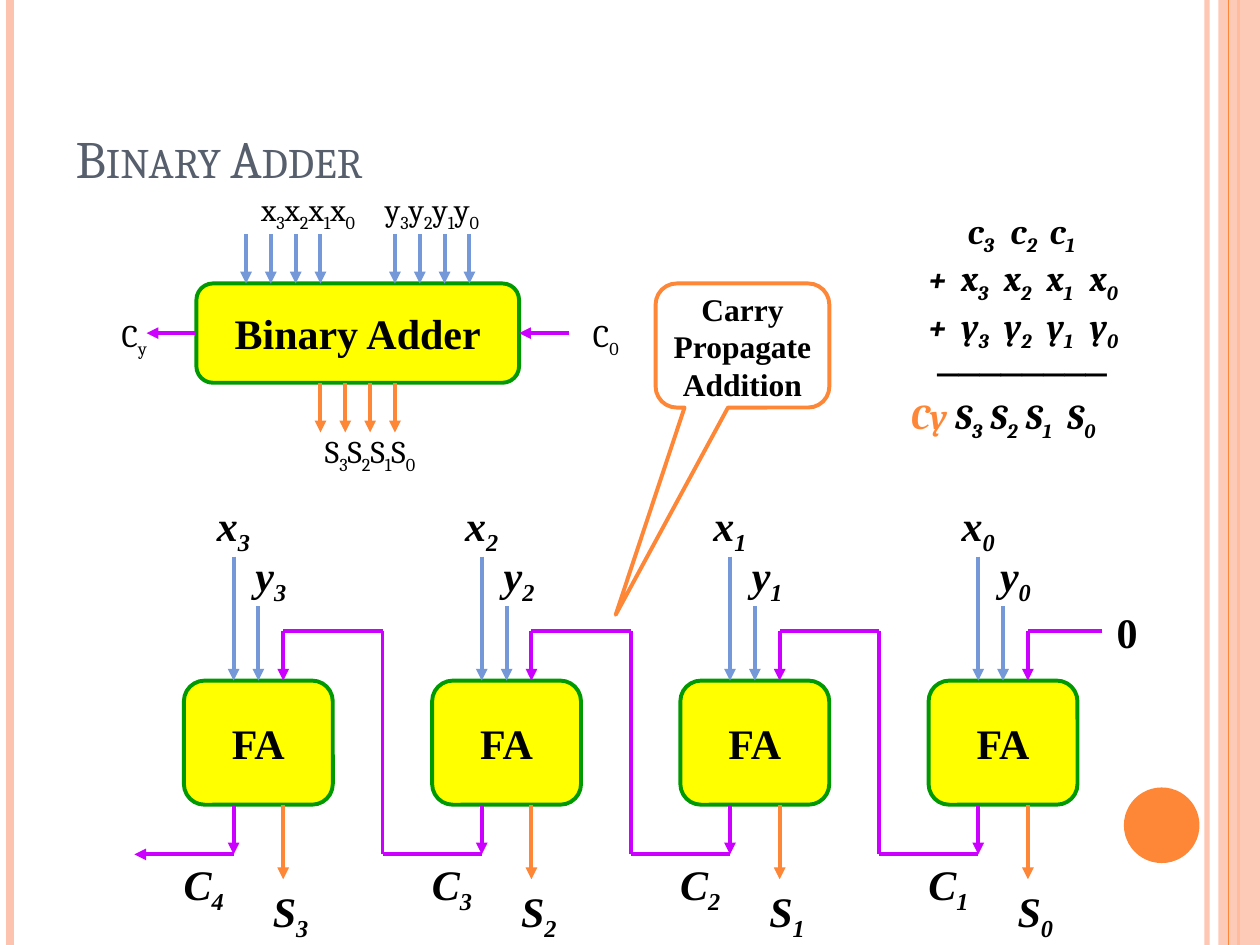
from dataclasses import dataclass
from itertools import pairwise

from lxml.etree import SubElement
from pptx import Presentation
from pptx.dml.color import RGBColor
from pptx.enum.shapes import MSO_CONNECTOR, MSO_SHAPE
from pptx.enum.text import MSO_ANCHOR, PP_ALIGN
from pptx.oxml.ns import qn
from pptx.util import Inches, Pt


@dataclass(frozen=True)
class Theme:
    ink: str = "000000"
    title: str = "575F6D"
    accent: str = "FE8637"
    pale: str = "FEC3AE"
    operand: str = "7598D9"
    carry: str = "CC00FF"
    block: str = "FFFF00"
    edge: str = "009900"
    serif: str = "Cambria"
    roman: str = "Times New Roman"
    title_size: int = 30
    large: int = 24
    medium: int = 20
    small: int = 18
    stroke: float = 2.25


THEME = Theme()
WIDTH, HEIGHT = 10, 7.5
# The diagram sits on a square grid; column 0 is the left edge of the first full adder.
CELL, LEFT, TOP = 0.197, 1.46, 2.25
STAGES, STAGE_COLS, FA_ROW = 4, 10, 16
STAGE_FONT = {"name": THEME.roman, "size": Pt(THEME.large), "bold": True}
SYMBOL_FONT = STAGE_FONT | {"italic": True}
PORT_FONT = {"name": THEME.serif, "size": Pt(THEME.small)}
CALLOUT_FONT = {"name": THEME.roman, "size": Pt(THEME.small), "bold": True}
SUM_FONT = {"name": THEME.serif, "size": Pt(THEME.medium), "bold": True, "italic": True}


def col(number):
    return LEFT + CELL * number


def row(number):
    return TOP + CELL * number


def set_alpha(parent, percent):
    color = next(parent.iter(qn("a:srgbClr")))
    SubElement(color, qn("a:alpha")).set("val", str(percent * 1000))


def add_run(paragraph, text, font, color=THEME.ink):
    run = paragraph.add_run()
    run.text = text
    for name, value in font.items():
        setattr(run.font, name, value)
    run.font.color.rgb = RGBColor.from_string(color)
    return run


def add_symbols(paragraph, text, font, color=THEME.ink):
    """Write text in which an underscore makes the next character a subscript."""
    first, *rest = text.split("_")
    if first:
        add_run(paragraph, first, font, color)
    for part in rest:
        add_run(paragraph, part[0], font, color)._r.get_or_add_rPr().set("baseline", "-25000")
        if part[1:]:
            add_run(paragraph, part[1:], font, color)


def clear_margins(frame):
    frame.word_wrap = True
    for side in ("left", "right", "top", "bottom"):
        setattr(frame, f"margin_{side}", 0)


def add_frame(slide, *box):
    frame = slide.shapes.add_textbox(*map(Inches, box)).text_frame
    clear_margins(frame)
    return frame


def add_label(slide, text, center, top, font):
    """Centre a label on a grid column."""
    cols = 5
    frame = add_frame(slide, col(center - cols / 2), row(top), CELL * cols,
                      font["size"].inches * 1.2)
    frame.paragraphs[0].alignment = PP_ALIGN.CENTER
    add_symbols(frame.paragraphs[0], text, font)


def add_line(slide, start, end, color, weight=THEME.stroke, arrow=False):
    line = slide.shapes.add_connector(MSO_CONNECTOR.STRAIGHT, *map(Inches, (*start, *end)))
    line.line.color.rgb = RGBColor.from_string(color)
    line.line.width = Pt(weight)
    if arrow:
        SubElement(line.line._get_or_add_ln(), qn("a:tailEnd")).set("type", "triangle")
    SubElement(line._element.spPr, qn("a:effectLst"))
    return line


def add_wire(slide, *points, color=THEME.carry, arrow=True):
    """Join (column, row) points; the arrowhead goes on the last piece."""
    ends = [(col(c), row(r)) for c, r in points]
    for number, (start, end) in enumerate(pairwise(ends), 2):
        add_line(slide, start, end, color, arrow=arrow and number == len(ends))


def add_preset(slide, preset, box, fill=None, edge=None):
    shape = slide.shapes.add_shape(preset, *map(Inches, box))
    shape.shadow.inherit = False
    if fill:
        shape.fill.solid()
        shape.fill.fore_color.rgb = RGBColor.from_string(fill)
    else:
        shape.fill.background()
    if edge:
        shape.line.color.rgb = RGBColor.from_string(edge)
        shape.line.width = Pt(THEME.stroke)
    else:
        shape.line.fill.background()
    return shape


def add_block(slide, preset, text, place, size, font, fill=THEME.block, edge=THEME.edge):
    box = (col(place[0]), row(place[1]), *(CELL * cells for cells in size))
    block = add_preset(slide, preset, box, fill, edge)
    clear_margins(block.text_frame)
    paragraph = block.text_frame.paragraphs[0]
    paragraph.alignment = PP_ALIGN.CENTER
    add_run(paragraph, text, font)
    return block


def add_side_bands(slide):
    def band(x, color, weight):
        return add_line(slide, (x, 0), (x, HEIGHT), color, weight)

    set_alpha(band(9.58, THEME.pale, 3)._element.spPr, 93)
    band(0.08, THEME.pale, 4.5)
    band(9.83, THEME.accent, 1.5)
    strip = add_preset(slide, MSO_SHAPE.RECTANGLE, (9.67, 0, 0.33, HEIGHT), THEME.pale)
    set_alpha(strip._element.spPr, 87)
    band(9.75, THEME.accent, 0.75)
    add_preset(slide, MSO_SHAPE.OVAL, (8.92, 6.25, 0.6, 0.6), THEME.accent)


def add_title(slide, text):
    title = slide.shapes.title
    for name, value in zip(("left", "top", "width", "height"), (0.5, 0.3, 8.42, 1.25)):
        setattr(title, name, Inches(value))
    title.text_frame.vertical_anchor = MSO_ANCHOR.BOTTOM
    paragraph = title.text_frame.paragraphs[0]
    paragraph.alignment = PP_ALIGN.LEFT
    font = {"name": THEME.serif, "size": Pt(THEME.title_size)}
    add_run(paragraph, text, font, THEME.title)._r.get_or_add_rPr().set("cap", "small")


def add_tab_stops(paragraph, stops):
    tabs = SubElement(paragraph._p.get_or_add_pPr(), qn("a:tabLst"))
    for stop in stops:
        tab = SubElement(tabs, qn("a:tab"))
        tab.set("pos", str(Inches(stop)))
        tab.set("algn", "l")


def add_written_sum(slide):
    digit_stops = [0.77] + [1.03 + 0.34 * place for place in range(4)]
    rows = [
        (["c_3", "c_2", "c_1"], [1.08, 1.42, 1.73]),
        (["+", "x_3", "x_2", "x_1", "x_0"], digit_stops),
        (["+", "y_3", "y_2", "y_1", "y_0"], digit_stops),
        (["────────"], [0.84]),
        (["Cy", "S_3", "S_2", "S_1", "S_0"], [0.63, 0.98, 1.26, 1.54, 1.87]),
    ]
    frame = add_frame(slide, 6.6, 1.66, 2.53, 1.68)
    for number, (terms, stops) in enumerate(rows):
        paragraph = frame.add_paragraph() if number else frame.paragraphs[0]
        add_tab_stops(paragraph, stops)
        for term in terms:
            color = THEME.accent if term == "Cy" else THEME.ink
            add_symbols(paragraph, "\t" + term, SUM_FONT, color)


def add_adder_block(slide):
    add_block(slide, MSO_SHAPE.ROUNDED_RECTANGLE, "Binary Adder", (0.5, 0), (13, 4), STAGE_FONT)
    for bit in range(4):
        for first in (2.5, 8.5):
            add_wire(slide, (first + bit, -2), (first + bit, 0), color=THEME.operand)
        add_wire(slide, (5.5 + bit, 4), (5.5 + bit, 6), color=THEME.accent)
    for start in (15.5, 0.5):
        add_wire(slide, (start, 2), (start - 2, 2))
    ports = [("x_3x_2x_1x_0", 5, -3.75), ("y_3y_2y_1y_0", 10, -3.75),
             ("S_3S_2S_1S_0", 7.5, 6), ("C_0", 17, 1.3), ("C_y", -2, 1.3)]
    for text, center, top in ports:
        add_label(slide, text, center, top, PORT_FONT)


def add_stage(slide, stage):
    """Draw one full adder with its inputs, sum and carry to the next stage."""
    start, bit = stage * STAGE_COLS, STAGES - 1 - stage
    x, y, carry_in = start + 2, start + 3, start + 4
    bottom = FA_ROW + 5
    add_block(slide, MSO_SHAPE.ROUNDED_RECTANGLE, "FA", (start, FA_ROW), (6, 5), STAGE_FONT)
    add_wire(slide, (carry_in, 14), (carry_in, FA_ROW))
    add_wire(slide, (y, 13), (y, FA_ROW), color=THEME.operand)
    add_wire(slide, (x, 11), (x, FA_ROW), color=THEME.operand)
    add_wire(slide, (carry_in, bottom), (carry_in, bottom + 3), color=THEME.accent)
    add_wire(slide, (x, bottom), (x, bottom + 2))
    carry_path = [(x, bottom + 2), (start - 2, bottom + 2)]
    if stage:
        carry_path += [(start - 2, 14), (start - 6, 14)]
    add_wire(slide, *carry_path, arrow=not stage)
    labels = [(f"x_{bit}", x, 8.7), (f"y_{bit}", y + 0.5, 10.7),
              (f"C_{bit + 1}", x - 1.2, 23.15), (f"S_{bit}", carry_in + 0.3, 24.25)]
    for text, center, top in labels:
        add_label(slide, text, center, top, SYMBOL_FONT)


def add_callout(slide):
    callout = add_block(slide, MSO_SHAPE.ROUNDED_RECTANGULAR_CALLOUT, "Carry Propagate Addition",
                        (19, 0), (7, 5), CALLOUT_FONT, None, THEME.accent)
    callout.text_frame.vertical_anchor = MSO_ANCHOR.TOP
    for number, value in enumerate((-0.73, 2.17, 0.17)):
        callout.adjustments[number] = value


def main():
    deck = Presentation()
    deck.slide_width, deck.slide_height = Inches(WIDTH), Inches(HEIGHT)
    slide = deck.slides.add_slide(deck.slide_layouts.get_by_name("Title Only"))
    add_side_bands(slide)
    add_title(slide, "Binary Adder")
    add_written_sum(slide)
    for stage in reversed(range(STAGES)):
        add_stage(slide, stage)
    add_wire(slide, (37, 14), (34, 14), arrow=False)
    add_label(slide, "0", 38, 13, STAGE_FONT)
    add_adder_block(slide)
    add_callout(slide)
    deck.save("out.pptx")


if __name__ == "__main__":
    main()
